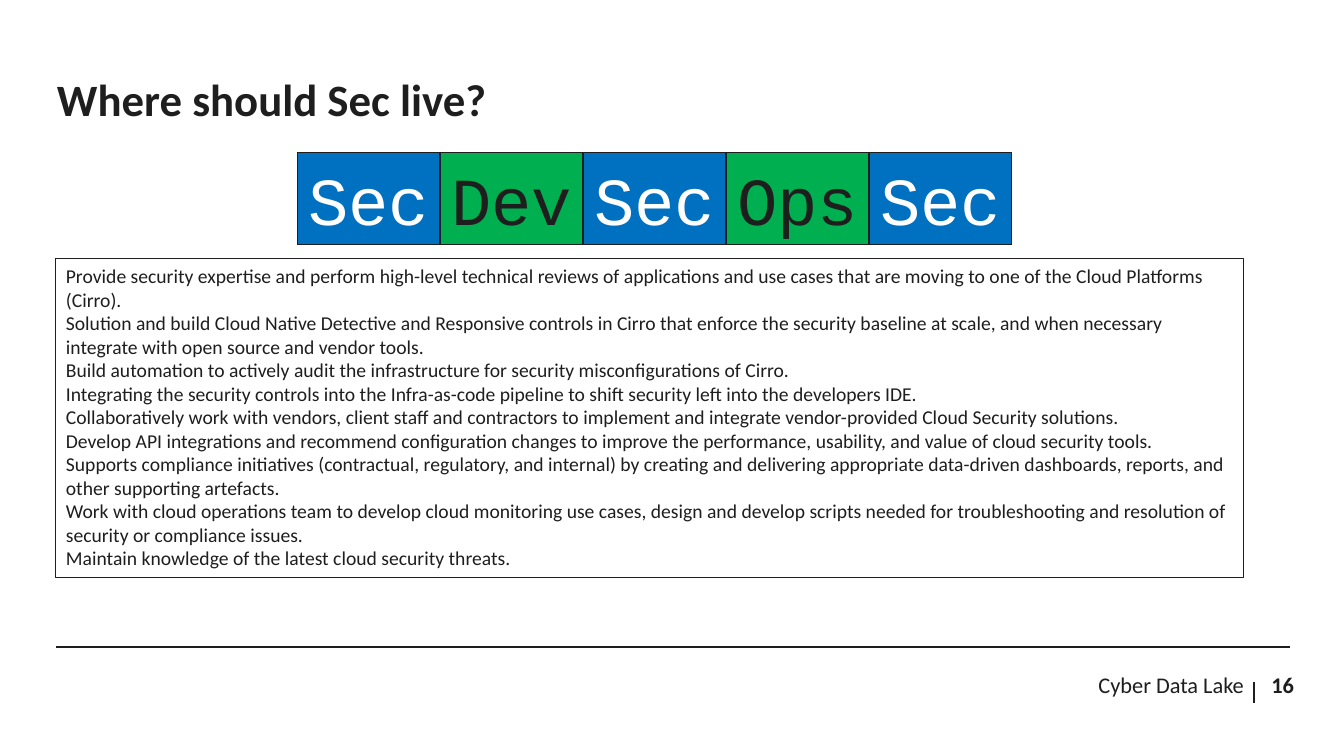
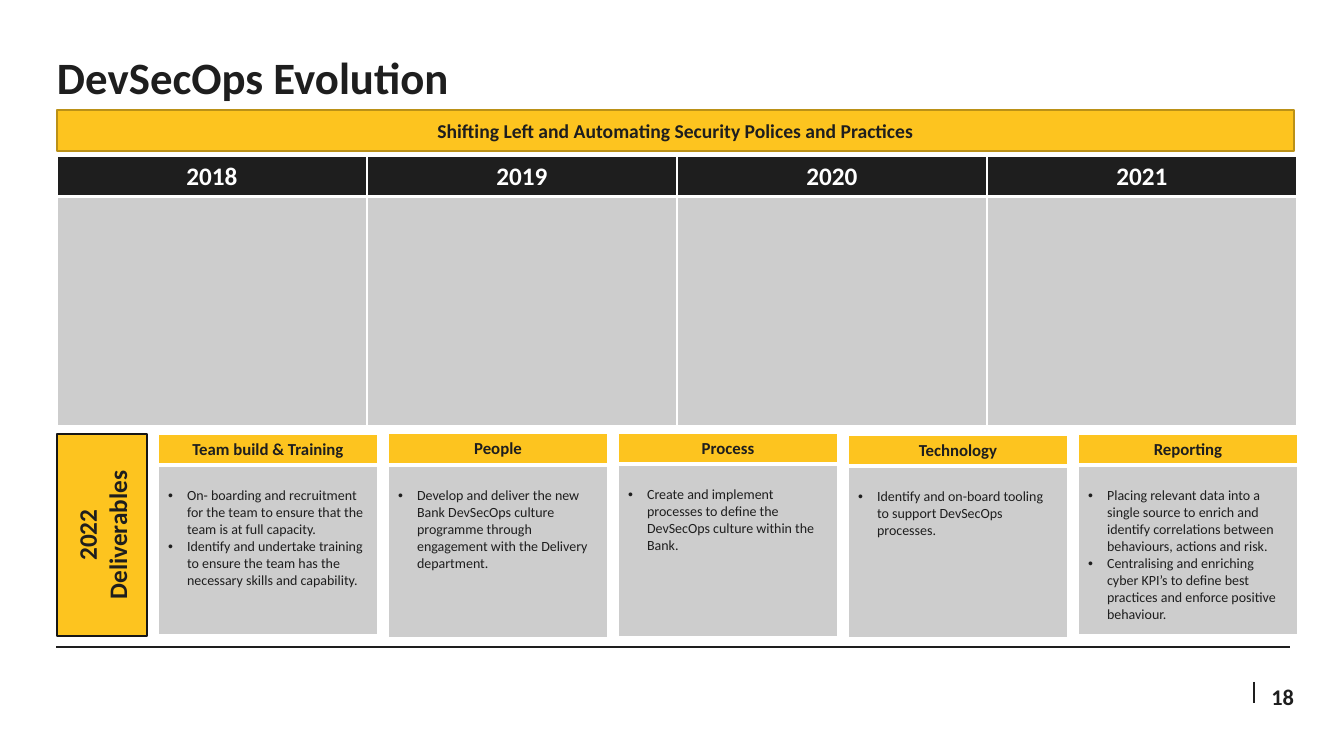
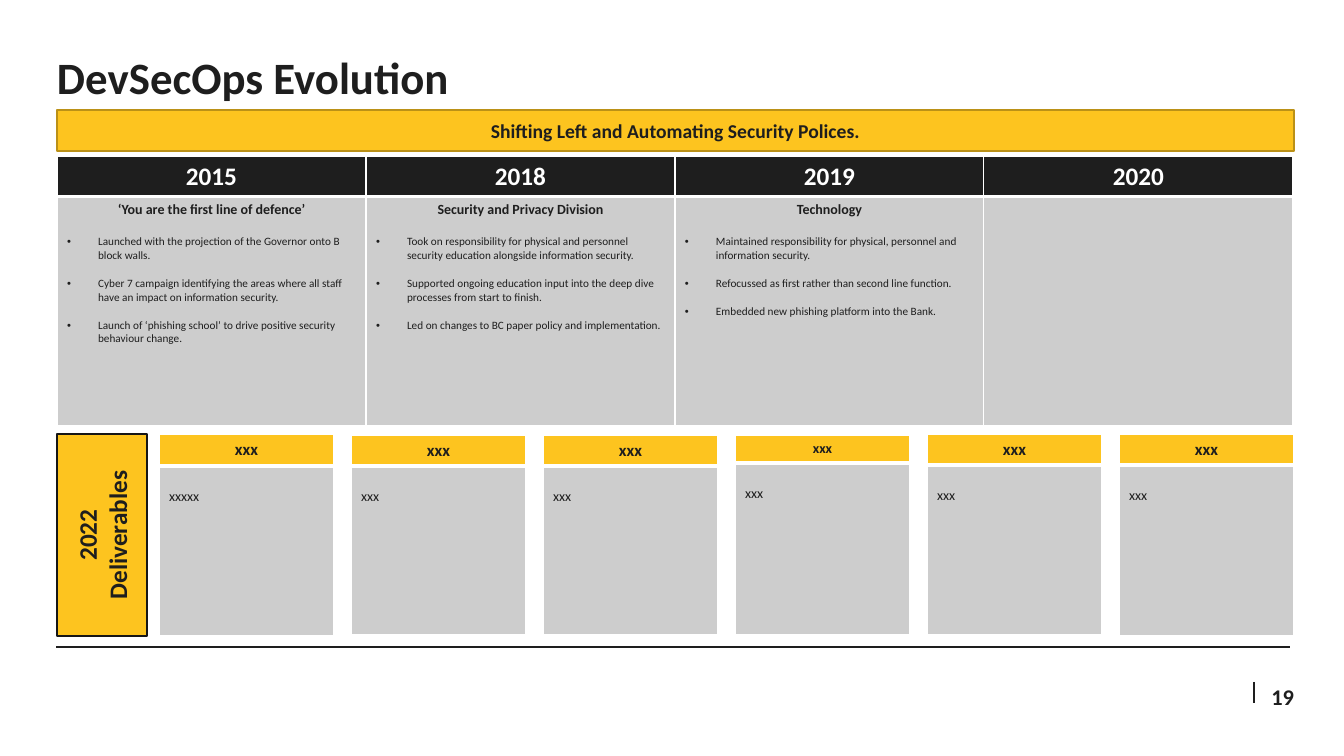
from pptx import Presentation
from pptx.dml.color import RGBColor
from pptx.enum.shapes import MSO_CONNECTOR, MSO_SHAPE
from pptx.enum.text import MSO_ANCHOR, PP_ALIGN
from pptx.oxml.ns import qn
from pptx.util import Pt
from lxml import etree

PIXEL = 9071
INK = RGBColor(0x1E, 0x1E, 0x1E)
WHITE = RGBColor(0xFF, 0xFF, 0xFF)
YELLOW = RGBColor(0xFD, 0xC4, 0x1F)
GOLD = RGBColor(0xBB, 0x91, 0x17)
BLACK = RGBColor(0x16, 0x16, 0x16)
GREY = RGBColor(0xCD, 0xCD, 0xCD)
GREEN = RGBColor(0x00, 0xB0, 0x50)
BLUE = RGBColor(0x00, 0x70, 0xC0)


def write(frame, text, size, color=INK, bold=False, align=PP_ALIGN.LEFT,
          font="Calibri", line=None, before=0, hang=0):
    para = frame.paragraphs[0]
    if para.runs:
        para = frame.add_paragraph()
    para.alignment = align
    para.space_before = Pt(before)
    if line:
        para.line_spacing = Pt(line)
    if hang:
        props = para._p.get_or_add_pPr()
        props.set("marL", str(hang * PIXEL))
        props.set("indent", str(-hang * PIXEL))
        etree.SubElement(props, qn("a:buFont"), typeface="Arial")
        etree.SubElement(props, qn("a:buChar"), char="•")
    span = para.add_run()
    span.text = text
    span.font.name = font
    span.font.size = Pt(size)
    span.font.bold = bold
    span.font.color.rgb = color


def add_grid(page, left, top, column_width, columns, heights, head_fill):
    table = page.shapes.add_table(
        2, columns, left * PIXEL, top * PIXEL,
        column_width * columns * PIXEL, sum(heights) * PIXEL).table
    for column in table.columns:
        column.width = column_width * PIXEL
    for row, height, fill in zip(table.rows, heights, (head_fill, GREY)):
        row.height = height * PIXEL
        for cell in row.cells:
            cell.fill.solid()
            cell.fill.fore_color.rgb = fill
            props = cell._tc.get_or_add_tcPr()
            for place, side in enumerate(("lnL", "lnR", "lnT", "lnB")):
                thick = (fill == head_fill) == (side == "lnB") and side in ("lnB", "lnT")
                border = etree.Element(qn("a:" + side), w=str(Pt(3 if thick else 1)))
                paint = etree.SubElement(border, qn("a:solidFill"))
                etree.SubElement(paint, qn("a:srgbClr"), val=str(WHITE))
                props.insert(place, border)
    return table


deck = Presentation()
deck.slide_width = 1344 * PIXEL
deck.slide_height = 756 * PIXEL

pages = []
for title, title_top, number, number_line in (
        ("Where should Sec live?", 75, "16", None),
        ("DevSecOps Evolution", 53, "18", 28),
        ("DevSecOps Evolution", 53, "19", 28)):
    page = deck.slides.add_slide(deck.slide_layouts[6])
    pages.append(page)
    for x1, y1, x2, y2 in ((1254, 682, 1254, 703), (1290, 647, 56, 647)):
        rule = page.shapes.add_connector(
            MSO_CONNECTOR.STRAIGHT, x1 * PIXEL, y1 * PIXEL, x2 * PIXEL, y2 * PIXEL)
        rule.line.color.rgb = INK
        rule.line.width = Pt(1)
        etree.SubElement(rule._element.spPr, qn("a:effectLst"))
    labels = [
        (title, 57, title_top, 1195, 85, dict(size=32, bold=True, line=36)),
        (number, 1259, 671, 35, 35,
         dict(size=16, bold=True, align=PP_ALIGN.RIGHT, line=number_line))]
    if number == "16":
        labels.append(("Cyber Data Lake", 533, 671, 711, 35,
                       dict(size=16, align=PP_ALIGN.RIGHT)))
    for text, left, top, width, height, style in labels:
        box = page.shapes.add_textbox(
            left * PIXEL, top * PIXEL, width * PIXEL, height * PIXEL)
        frame = box.text_frame
        frame.word_wrap = True
        frame.margin_left = frame.margin_right = 0
        frame.margin_top = frame.margin_bottom = 0
        write(frame, text, **style)

sec_page, plan_page, history_page = pages

for index, word in enumerate(("Sec", "Dev", "Sec", "Ops", "Sec")):
    tile = sec_page.shapes.add_shape(
        MSO_SHAPE.RECTANGLE, (297 + 143 * index) * PIXEL, 153 * PIXEL,
        143 * PIXEL, 92 * PIXEL)
    tile.shadow.inherit = False
    tile.fill.solid()
    tile.fill.fore_color.rgb = BLUE if word == "Sec" else GREEN
    tile.line.color.rgb = INK
    tile.line.width = Pt(0.75)
    tile.text_frame.word_wrap = False
    tile.text_frame.vertical_anchor = MSO_ANCHOR.TOP
    write(tile.text_frame, word, 48, color=WHITE if word == "Sec" else INK,
          align=PP_ALIGN.CENTER, font="Courier New")

duties = sec_page.shapes.add_shape(
    MSO_SHAPE.RECTANGLE, 56 * PIXEL, 259 * PIXEL, 1188 * PIXEL, 319 * PIXEL)
duties.shadow.inherit = False
duties.fill.background()
duties.line.color.rgb = INK
duties.line.width = Pt(0.75)
duties.text_frame.word_wrap = True
duties.text_frame.vertical_anchor = MSO_ANCHOR.TOP
for duty in (
        "Provide security expertise and perform high-level technical reviews of applications and use cases that are moving to one of the Cloud Platforms (Cirro).",
        "Solution and build Cloud Native Detective and Responsive controls in Cirro that enforce the security baseline at scale, and when necessary integrate with open source and vendor tools.",
        "Build automation to actively audit the infrastructure for security misconfigurations of Cirro.",
        "Integrating the security controls into the Infra-as-code pipeline to shift security left into the developers IDE.",
        "Collaboratively work with vendors, client staff and contractors to implement and integrate vendor-provided Cloud Security solutions.",
        "Develop API integrations and recommend configuration changes to improve the performance, usability, and value of cloud security tools.",
        "Supports compliance initiatives (contractual, regulatory, and internal) by creating and delivering appropriate data-driven dashboards, reports, and other supporting artefacts.",
        "Work with cloud operations team to develop cloud monitoring use cases, design and develop scripts needed for troubleshooting and resolution of security or compliance issues.",
        "Maintain knowledge of the latest cloud security threats."):
    write(duties.text_frame, duty, 14)

plan_years = [(year, None, ()) for year in ("2018", "2019", "2020", "2021")]
history_years = [
    ("2015", "‘You are the first line of defence’", (
        "Launched with the projection of the Governor onto B block walls.",
        "Cyber 7 campaign identifying the areas where all staff have an impact on information security.",
        "Launch of ‘phishing school’ to drive positive security behaviour change.")),
    ("2018", "Security and Privacy Division", (
        "Took on responsibility for physical and personnel security education alongside information security.",
        "Supported ongoing education input into the deep dive processes from start to finish.",
        "Led on changes to BC paper policy and implementation.")),
    ("2019", "Technology", (
        "Maintained responsibility for physical, personnel and information security.",
        "Refocussed as first rather than second line function.",
        "Embedded new phishing platform into the Bank.")),
    ("2020", None, ())]

plan_cards = [
    ("Team build & Training", 12, 434, 31, 170, (
        "On- boarding and recruitment for the team to ensure that the team is at full capacity.",
        "Identify and undertake training to ensure the team has the necessary skills and capability.")),
    ("People", 12, 433, 32, 173, (
        "Develop and deliver the new Bank DevSecOps culture programme through engagement with the Delivery department.",)),
    ("Process", 12, 433, 31, 173, (
        "Create and implement processes to define the DevSecOps culture within the Bank.",)),
    ("Technology", 12, 435, 31, 172, (
        "Identify and on-board tooling to support DevSecOps processes.",)),
    ("Reporting", 12, 434, 31, 170, (
        "Placing relevant data into a single source to enrich and identify correlations between behaviours, actions and risk.",
        "Centralising and enriching cyber KPI’s to define best practices and enforce positive behaviour."))]
history_cards = [
    ("xxx", 12, 434, 32, 170, ("xxxxx",)),
    ("xxx", 12, 435, 31, 169, ("xxx",)),
    ("xxx", 12, 435, 31, 169, ("xxx",)),
    ("xxx", 10, 435, 28, 172, ("xxx",)),
    ("xxx", 12, 434, 31, 170, ("xxx",)),
    ("xxx", 12, 434, 31, 171, ("xxx",))]

for page, banner, years, year_width, cards, card_left, card_width, pitch, hang in (
        (plan_page, "Shifting Left and Automating Security Polices and Practices",
         plan_years, 310, plan_cards, 158, 220, 230, 19),
        (history_page, "Shifting Left and Automating Security Polices.",
         history_years, 309, history_cards, 159, 175, 192, 0)):
    timeline = add_grid(page, 57, 156, year_width, len(years), (40, 229), INK)
    for column, (year, theme, events) in enumerate(years):
        write(timeline.cell(0, column).text_frame, year, 18, color=WHITE,
              bold=True, align=PP_ALIGN.CENTER)
        frame = timeline.cell(1, column).text_frame
        if theme:
            write(frame, theme, 10, bold=True, align=PP_ALIGN.CENTER)
        for order, event in enumerate(events):
            write(frame, event, 8, before=10 if order else 12, hang=31)

    for index, (heading, size, top, head, body, items) in enumerate(cards):
        card = add_grid(page, card_left + pitch * index, top, card_width, 1,
                        (head, body), YELLOW)
        card.cell(0, 0).vertical_anchor = MSO_ANCHOR.MIDDLE
        write(card.cell(0, 0).text_frame, heading, size, bold=True,
              align=PP_ALIGN.CENTER)
        card.cell(1, 0).margin_top = 22 * PIXEL
        for item in items:
            write(card.cell(1, 0).text_frame, item, 10, hang=hang)

    for text, size, left, top, width, height, turn, edge in (
            ("2022 Deliverables", 18, 1, 490, 202, 90, 270, BLACK),
            (banner, 14, 57, 110, 1237, 41, 0, GOLD)):
        band = page.shapes.add_shape(
            MSO_SHAPE.RECTANGLE, left * PIXEL, top * PIXEL,
            width * PIXEL, height * PIXEL)
        band.rotation = turn
        band.shadow.inherit = False
        band.fill.solid()
        band.fill.fore_color.rgb = YELLOW
        band.line.color.rgb = edge
        band.line.width = Pt(1)
        band.text_frame.word_wrap = True
        band.text_frame.vertical_anchor = MSO_ANCHOR.MIDDLE
        write(band.text_frame, text, size, bold=True, align=PP_ALIGN.CENTER)

deck.save("out.pptx")
